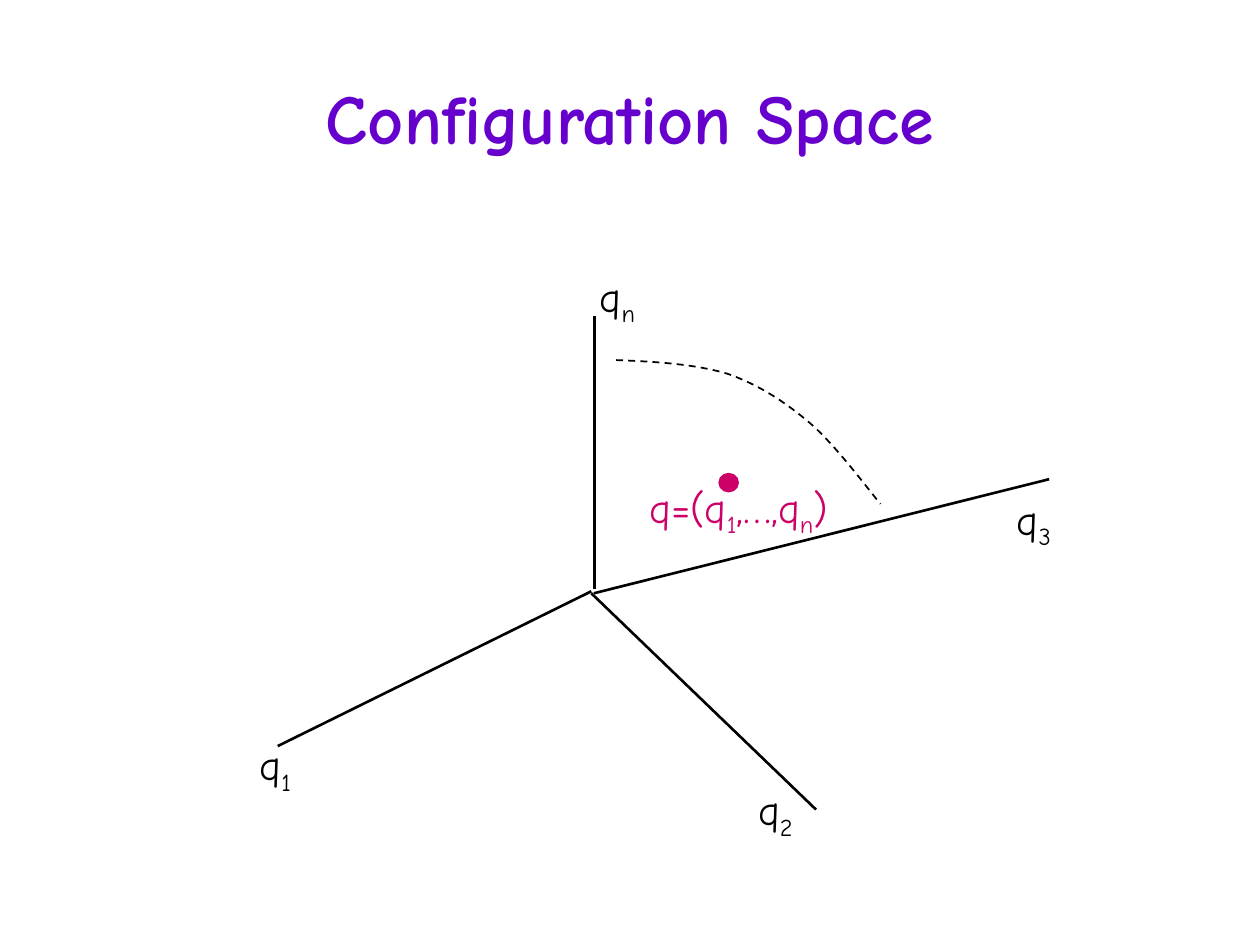
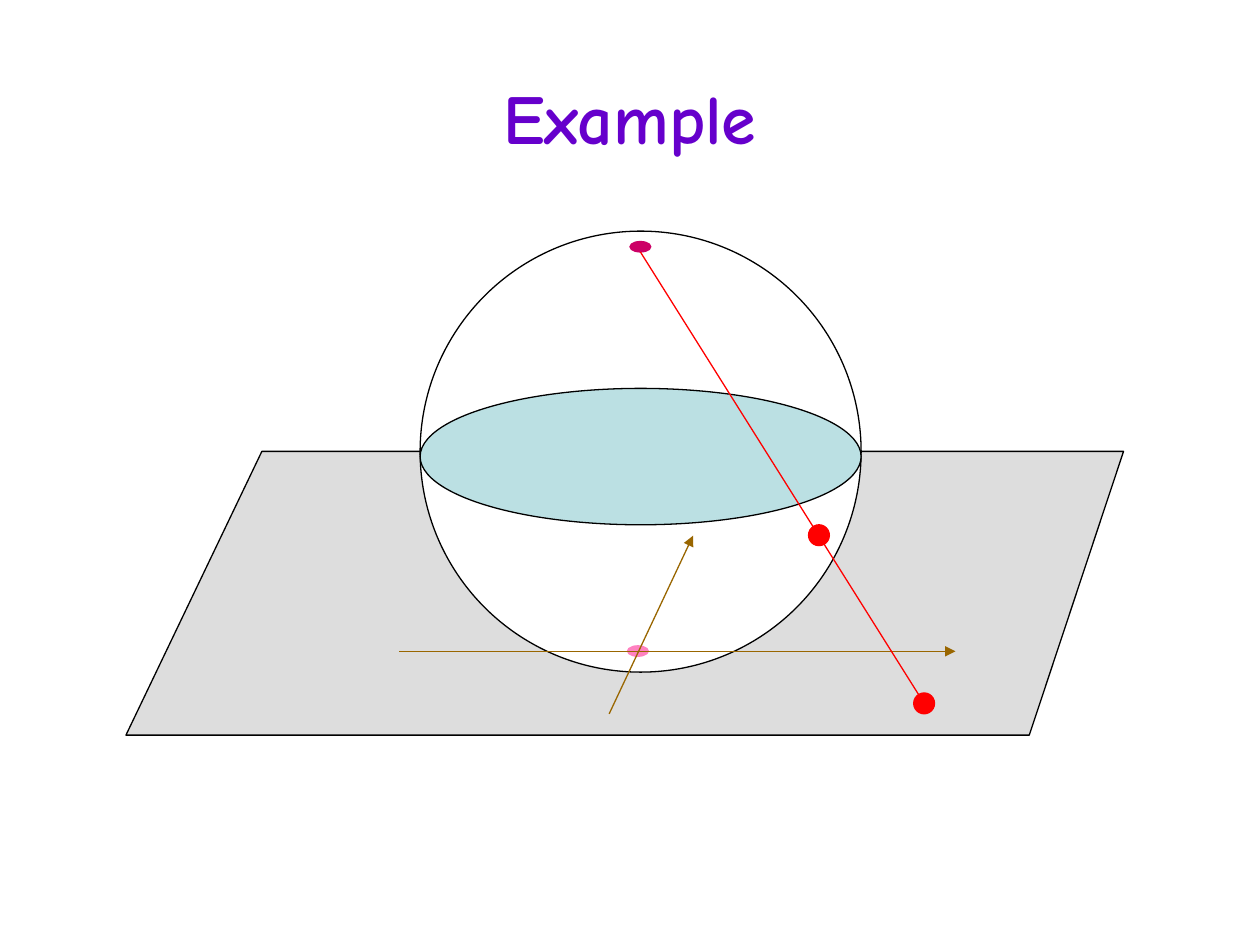
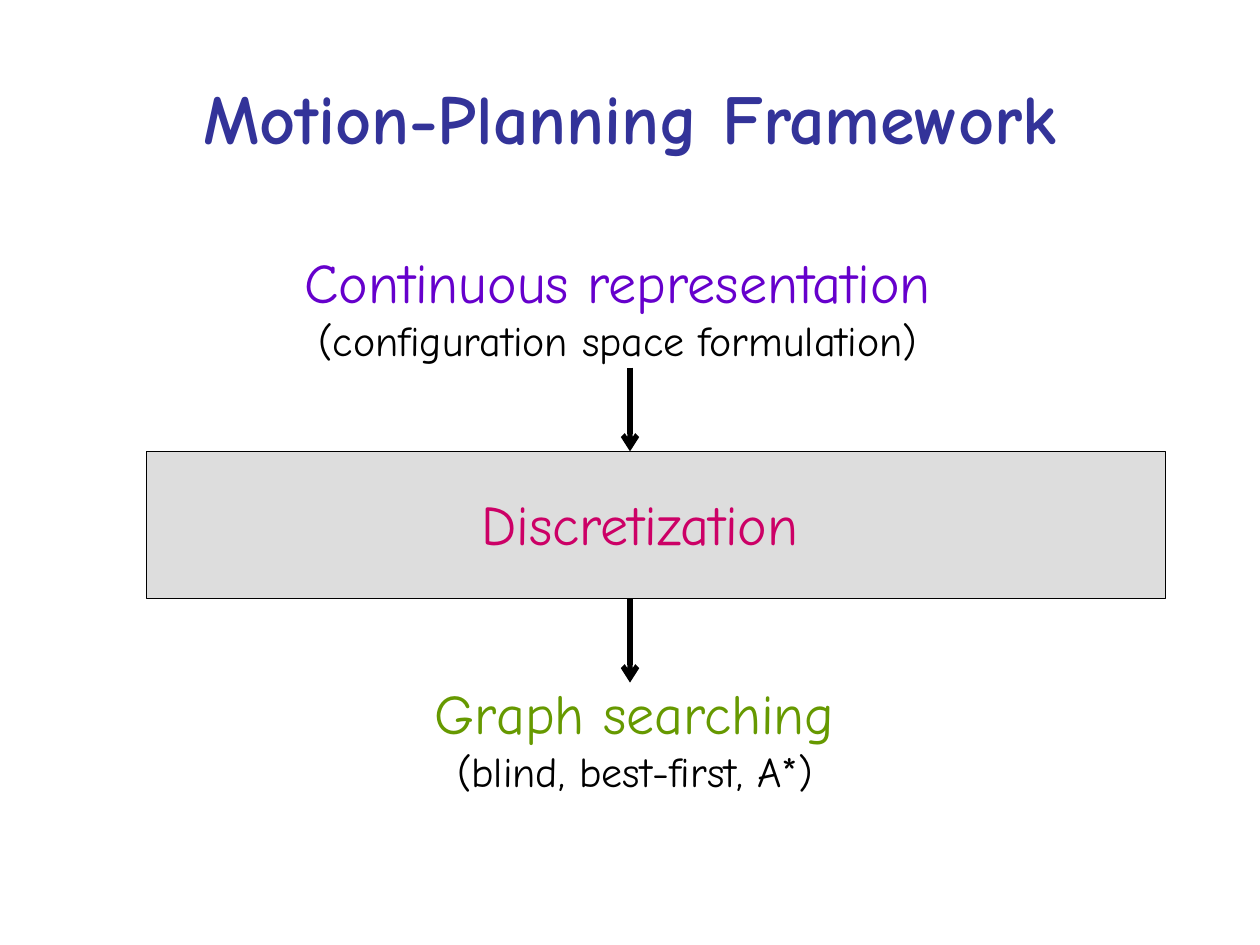
from lxml import etree
from pptx import Presentation
from pptx import util as u
from pptx.dml.color import RGBColor
from pptx.enum import dml, shapes, text
from pptx.oxml.ns import qn

hues = {
    "ink": "000000", "white": "FFFFFF", "grey": "DDDDDD", "violet": "6600CC",
    "navy": "333399", "rose": "CC0066", "pink": "FF81C0", "red": "FF0000",
    "teal": "BBE0E3", "brown": "996600", "green": "669900",
}
title = {"word_wrap": True, "vertical_anchor": text.MSO_ANCHOR.MIDDLE}
label = {"word_wrap": False, "auto_size": text.MSO_AUTO_SIZE.SHAPE_TO_FIT_TEXT}
oval = shapes.MSO_SHAPE.OVAL


def write(page, box, rows, form=label, bold=False):
    """Add centred rows of (words, size, hue); _x_ marks a subscript."""
    frame = page.shapes.add_textbox(*map(u.Cm, box)).text_frame
    for key, val in form.items():
        setattr(frame, key, val)
    for n, (words, size, hue) in enumerate(rows):
        para = frame.add_paragraph() if n else frame.paragraphs[0]
        para.alignment = text.PP_ALIGN.CENTER
        for k, part in enumerate(words.split("_")):
            if not part:
                continue
            run = para.add_run()
            run.text = part
            font = {"name": "Comic Neue", "size": u.Pt(size), "bold": bold}
            for key, val in font.items():
                setattr(run.font, key, val)
            run.font.color.rgb = RGBColor.from_string(hues[hue])
            if k % 2:
                run.font._element.set("baseline", "-25000")


def paint(item, hue, width=0.75, fill=None, head=None):
    """Set line, fill and arrowhead, and drop the shadow."""
    if fill:
        item.fill.solid()
        item.fill.fore_color.rgb = RGBColor.from_string(hues[fill])
    item.line.color.rgb = RGBColor.from_string(hues[hue])
    item.line.width = u.Pt(width)
    if head:
        etree.SubElement(item.line._get_or_add_ln(), qn("a:tailEnd"), type=head)
    etree.SubElement(item._element.spPr, qn("a:effectLst"))


# Deck and titles
deck = Presentation()
deck.slide_width, deck.slide_height = u.Cm(25.4), u.Cm(19.05)
pages = []
for words, hue in [
    ("Configuration Space", "violet"),
    ("Example", "violet"),
    ("Motion-Planning Framework", "navy"),
]:
    page = deck.slides.add_slide(deck.slide_layouts[6])
    write(page, (1.27, 0.76, 22.86, 3.18), [(words, 40, hue)], title, True)
    pages.append(page)
space, globe, frame = pages
link = shapes.MSO_CONNECTOR.STRAIGHT

# Configuration space: axes with their labels
for ends, name, x, y in [
    ((11.99, 6.38, 11.99, 11.87), "n", 11.8, 5.32),
    ((11.92, 11.92, 5.6, 15.04), "1", 4.9, 14.77),
    ((11.92, 11.96, 16.45, 16.32), "2", 14.98, 15.68),
    ((11.97, 11.96, 21.15, 9.66), "3", 20.19, 9.82),
]:
    paint(space.shapes.add_connector(link, *map(u.Cm, ends)), "ink", 1.5)
    write(space, (x, y, 1.3, 1.42), [(f"q_{name}_", 24, "ink")])

# Dashed arc: every three points make one Bezier curve
spots = [
    (13.21, 7.29), (14.02, 7.34), (14.68, 7.54),
    (15.32, 7.77), (15.82, 8.1), (16.33, 8.53),
    (16.84, 8.97), (17.5, 9.86), (17.75, 10.16),
]
pen = space.shapes.build_freeform(u.Cm(12.42), u.Cm(7.26))
pen.add_line_segments([(u.Cm(x), u.Cm(y)) for x, y in spots], close=False)
arc = pen.convert_to_shape()
arc.fill.background()
paint(arc, "ink", 1)
arc.line.dash_style = dml.MSO_LINE.DASH
route = arc._element.spPr.find(".//" + qn("a:path"))
steps = route.findall(qn("a:lnTo"))
for n in range(0, len(steps), 3):
    bend = etree.SubElement(route, qn("a:cubicBezTo"))
    for step in steps[n:n + 3]:
        bend.append(step[0])
        route.remove(step)

# Point q
dot = space.shapes.add_shape(oval, *map(u.Cm, (14.5, 9.55, 0.38, 0.36)))
paint(dot, "rose", 1, "rose")
write(space, (12.83, 9.58, 4.12, 1.42), [("q=(q_1_,…,q_n_)", 24, "rose")])

# Example: ground plane
pen = globe.shapes.build_freeform(u.Cm(5.28), u.Cm(9.1))
edge = [(2.54, 14.82), (20.75, 14.82), (22.65, 9.1)]
pen.add_line_segments([(u.Cm(x), u.Cm(y)) for x, y in edge])
paint(pen.convert_to_shape(), "ink", fill="grey")

# Sphere, equator, poles and the two red points
for box, fill, hue in [
    ((8.47, 4.66, 8.89, 8.89), "white", "ink"),
    ((8.47, 7.83, 8.89, 2.75), "teal", "ink"),
    ((12.7, 4.87, 0.42, 0.21), "rose", "rose"),
    ((12.65, 13.02, 0.42, 0.21), "pink", "pink"),
    ((16.3, 10.58, 0.42, 0.42), "red", "red"),
    ((18.42, 13.97, 0.42, 0.42), "red", "red"),
]:
    paint(globe.shapes.add_shape(oval, *map(u.Cm, box)), hue, fill=fill)

# Plane axes and projection ray
for ends, hue, head in [
    ((8.05, 13.13, 19.26, 13.13), "brown", "triangle"),
    ((12.28, 14.39, 13.97, 10.8), "brown", "triangle"),
    ((12.91, 5.08, 18.63, 14.18), "red", None),
]:
    ray = globe.shapes.add_connector(link, *map(u.Cm, ends))
    paint(ray, hue, head=head)

# Framework: box, stages and arrows
bar = frame.shapes.add_shape(
    shapes.MSO_SHAPE.RECTANGLE, *map(u.Cm, (2.96, 9.1, 20.53, 2.96)))
paint(bar, "ink", fill="grey")
for box, rows in [
    ((5.84, 4.87, 13.23, 2.64),
     [("Continuous representation", 32, "violet"),
      ("(configuration space formulation)", 24, "ink")]),
    ((9.42, 9.74, 6.96, 1.63), [("Discretization", 32, "rose")]),
    ((8.48, 13.55, 8.64, 2.64),
     [("Graph searching", 32, "green"),
      ("(blind, best-first, A*)", 24, "ink")]),
]:
    write(frame, box, rows)
for top, end in [(7.41, 9.1), (12.06, 13.76)]:
    ends = (12.7, top, 12.7, end)
    step = frame.shapes.add_connector(link, *map(u.Cm, ends))
    paint(step, "ink", 3, head="arrow")

deck.save("out.pptx")
